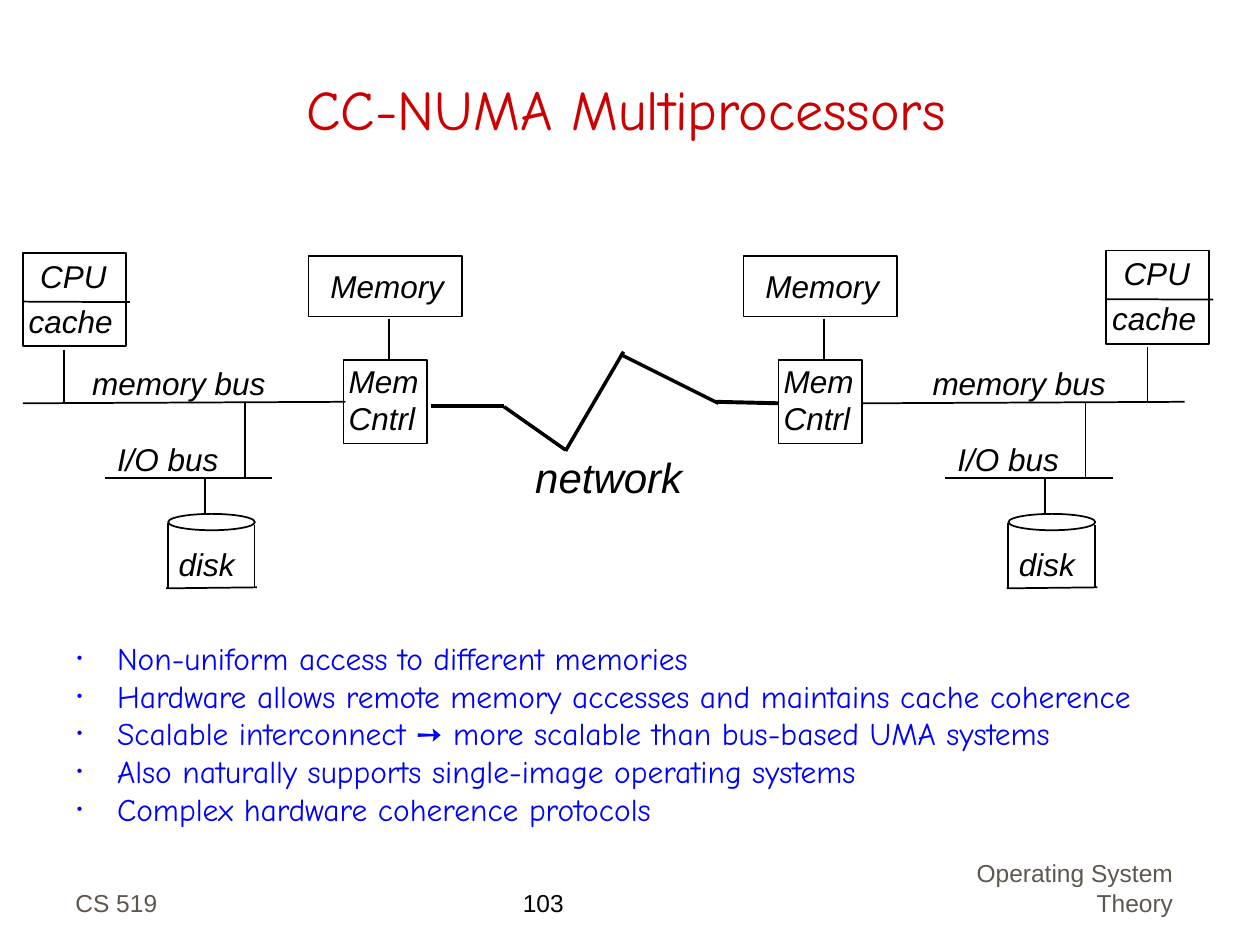
from dataclasses import dataclass

from lxml import etree
from pptx import Presentation
from pptx.dml.color import RGBColor
from pptx.enum.shapes import MSO_CONNECTOR, MSO_SHAPE
from pptx.enum.text import MSO_ANCHOR, PP_ALIGN
from pptx.oxml.ns import qn
from pptx.util import Cm, Pt

STRAIGHT = MSO_CONNECTOR.STRAIGHT
RECTANGLE, OVAL = MSO_SHAPE.RECTANGLE, MSO_SHAPE.OVAL
TOP, BOTTOM = MSO_ANCHOR.TOP, MSO_ANCHOR.BOTTOM
LEFT, CENTER, RIGHT = PP_ALIGN.LEFT, PP_ALIGN.CENTER, PP_ALIGN.RIGHT


@dataclass(frozen=True)
class Theme:
    ink: str = "000000"
    paper: str = "FFFFFF"
    title: str = "CC0000"
    body: str = "0000FF"
    footer: str = "5E574E"
    sans: str = "Arial"
    hand: str = "Comic Neue"
    title_size: float = 32
    network_size: float = 24
    body_size: float = 18
    footer_size: float = 14
    thin: float = 0.75
    normal: float = 1
    thick: float = 2
    heavy: float = 2.25


class Diagram:
    def __init__(self, slide, theme):
        self.slide = slide
        self.theme = theme

    def frame(self, left, top, width, height, anchor=TOP, right_inset=0.25):
        box = self.slide.shapes.add_textbox(Cm(left), Cm(top), Cm(width), Cm(height))
        frame = box.text_frame
        frame.word_wrap = True
        frame.vertical_anchor = anchor
        frame.margin_left, frame.margin_right = Cm(0.25), Cm(right_inset)
        frame.margin_top = frame.margin_bottom = Cm(0.13)
        return frame

    def run(self, paragraph, words, size, color, font, italic=False):
        run = paragraph.add_run()
        run.text = words
        run.font.size = Pt(size)
        run.font.name = font
        run.font.italic = italic
        run.font.color.rgb = RGBColor.from_string(color)

    def text(self, words, place, size, color, font, align=LEFT, anchor=TOP):
        paragraph = self.frame(*place, anchor=anchor).paragraphs[0]
        paragraph.alignment = align
        self.run(paragraph, words, size, color, font)

    def label(self, lines, left, top, width, height=1.02, size=None):
        frame = self.frame(left, top, width, height, right_inset=0)
        for index, words in enumerate(lines.split("\n")):
            paragraph = frame.add_paragraph() if index else frame.paragraphs[0]
            self.run(paragraph, words, size or self.theme.body_size,
                     self.theme.ink, self.theme.sans, italic=True)

    def bullets(self, items, place):
        frame = self.frame(*place)
        for index, pieces in enumerate(items):
            paragraph = frame.add_paragraph() if index else frame.paragraphs[0]
            properties = paragraph._p.get_or_add_pPr()
            properties.set("marL", str(Cm(0.81)))
            properties.set("indent", str(-Cm(0.81)))
            color = etree.SubElement(properties, qn("a:buClr"))
            etree.SubElement(color, qn("a:srgbClr"), val=self.theme.body)
            etree.SubElement(properties, qn("a:buSzPct"), val="50000")
            etree.SubElement(properties, qn("a:buFont"), typeface=self.theme.sans)
            etree.SubElement(properties, qn("a:buChar"), char="•")
            for words, font in pieces:
                self.run(paragraph, words, self.theme.body_size, self.theme.body, font)

    def line(self, x1, y1, x2, y2, weight=None):
        line = self.slide.shapes.add_connector(STRAIGHT, Cm(x1), Cm(y1), Cm(x2), Cm(y2))
        line.line.color.rgb = RGBColor.from_string(self.theme.ink)
        line.line.width = Pt(weight or self.theme.normal)
        etree.SubElement(line._element.spPr, qn("a:effectLst"))

    def outline(self, kind, left, top, width, height, weight=None, filled=True):
        shape = self.slide.shapes.add_shape(kind, Cm(left), Cm(top), Cm(width), Cm(height))
        shape.shadow.inherit = False
        if filled:
            shape.fill.solid()
            shape.fill.fore_color.rgb = RGBColor.from_string(self.theme.paper)
        else:
            shape.fill.background()
        shape.line.color.rgb = RGBColor.from_string(self.theme.ink)
        shape.line.width = Pt(weight or self.theme.normal)

    def processor(self, left, top):
        self.outline(RECTANGLE, left, top, 2.08, 1.88)
        self.label("CPU", left + 0.1, top - 0.05, 1.85)
        self.label("cache", left - 0.13, top + 0.85, 2.59)
        self.line(left, top + 0.98, left + 2.16, top + 0.99)
        self.line(left + 0.83, top + 1.95, left + 0.83, top + 3.05)

    def memory(self, left):
        self.outline(RECTANGLE, left, 5.16, 3.1, 1.22)
        self.label("Memory", left + 0.19, 5.26, 2.79)
        self.label("Mem\nCntrl", left + 0.56, 7.16, 1.9, 1.78)
        self.outline(RECTANGLE, left + 0.71, 7.26, 1.68, 1.68, self.theme.thin, filled=False)
        self.line(left + 1.62, 6.43, left + 1.62, 7.26, self.theme.thin)

    def peripherals(self, left):
        self.label("memory bus", left - 0.5, 7.21, 3.99)
        self.line(left, 9.63, left + 3.38, 9.63)
        self.line(left + 2.83, 8.13, left + 2.83, 9.63)
        self.label("I/O bus", left, 8.74, 2.54)
        self.outline(OVAL, left + 1.28, 10.36, 1.75, 0.33)
        self.line(left + 2.02, 9.63, left + 2.02, 10.39)
        self.line(left + 1.27, 10.54, left + 1.27, 11.86)
        self.line(left + 1.24, 11.86, left + 3.07, 11.84)
        self.line(left + 3.02, 10.59, left + 3.02, 11.86)
        self.label("disk", left + 1.24, 10.85, 1.63)


def main():
    presentation = Presentation()
    presentation.slide_width, presentation.slide_height = Cm(25.4), Cm(19.05)
    slide = presentation.slides.add_slide(presentation.slide_layouts[6])
    theme = Theme()
    diagram = Diagram(slide, theme)

    diagram.text("CC-NUMA Multiprocessors", (1.12, 0.64, 23.01, 2.34),
                 theme.title_size, theme.title, theme.hand, CENTER, BOTTOM)
    diagram.text("CS 519", (1.27, 17.35, 5.28, 1.27),
                 theme.footer_size, theme.footer, theme.sans, anchor=BOTTOM)
    diagram.text("103", (10.29, 17.78, 2.77, 0.86),
                 theme.footer_size, theme.ink, theme.sans)
    diagram.text("Operating System Theory", (17.78, 17.17, 6.12, 1.45),
                 theme.footer_size, theme.footer, theme.sans, RIGHT, BOTTOM)

    for bus_start, bus_end in ((0.46, 6.96), (17.4, 23.88)):
        diagram.line(bus_start, 8.13, bus_end, 8.1)
    for cpu_left, cpu_top in ((0.46, 5.1), (22.3, 5.05)):
        diagram.processor(cpu_left, cpu_top)
    for memory_left in (6.22, 14.99):
        diagram.memory(memory_left)
    for bus_left in (2.11, 19.05):
        diagram.peripherals(bus_left)

    network = (
        (8.69, 8.18, 10.16, 8.18, theme.heavy),
        (10.16, 8.2, 11.4, 9.07, theme.thick),
        (11.4, 9.09, 12.57, 7.09, theme.thick),
        (12.5, 7.14, 14.48, 8.13, theme.thick),
        (14.43, 8.1, 15.7, 8.13, theme.heavy),
    )
    for segment in network:
        diagram.line(*segment)
    diagram.label("network", 10.54, 8.97, 3.48, 1.27, theme.network_size)

    diagram.bullets((
        (("Non-uniform access to different memories", theme.hand),),
        (("Hardware allows remote memory accesses and maintains cache coherence", theme.hand),),
        (("Scalable interconnect ", theme.hand), ("➙", theme.sans),
         (" more scalable than bus-based UMA systems", theme.hand)),
        (("Also naturally supports single-image operating systems", theme.hand),),
        (("Complex hardware coherence protocols", theme.hand),),
    ), (1.3, 12.75, 22.83, 4.39))

    presentation.save("out.pptx")


if __name__ == "__main__":
    main()
